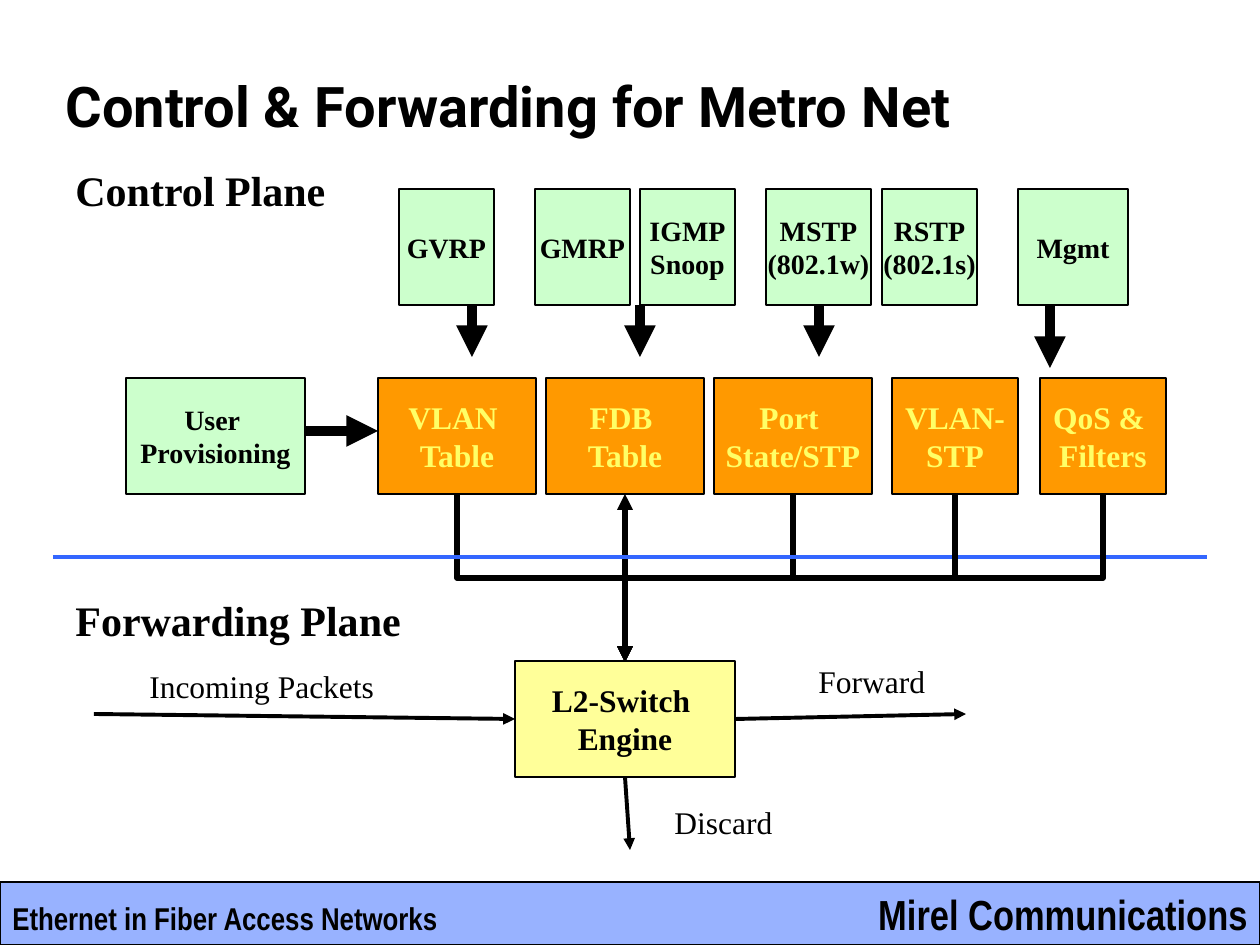
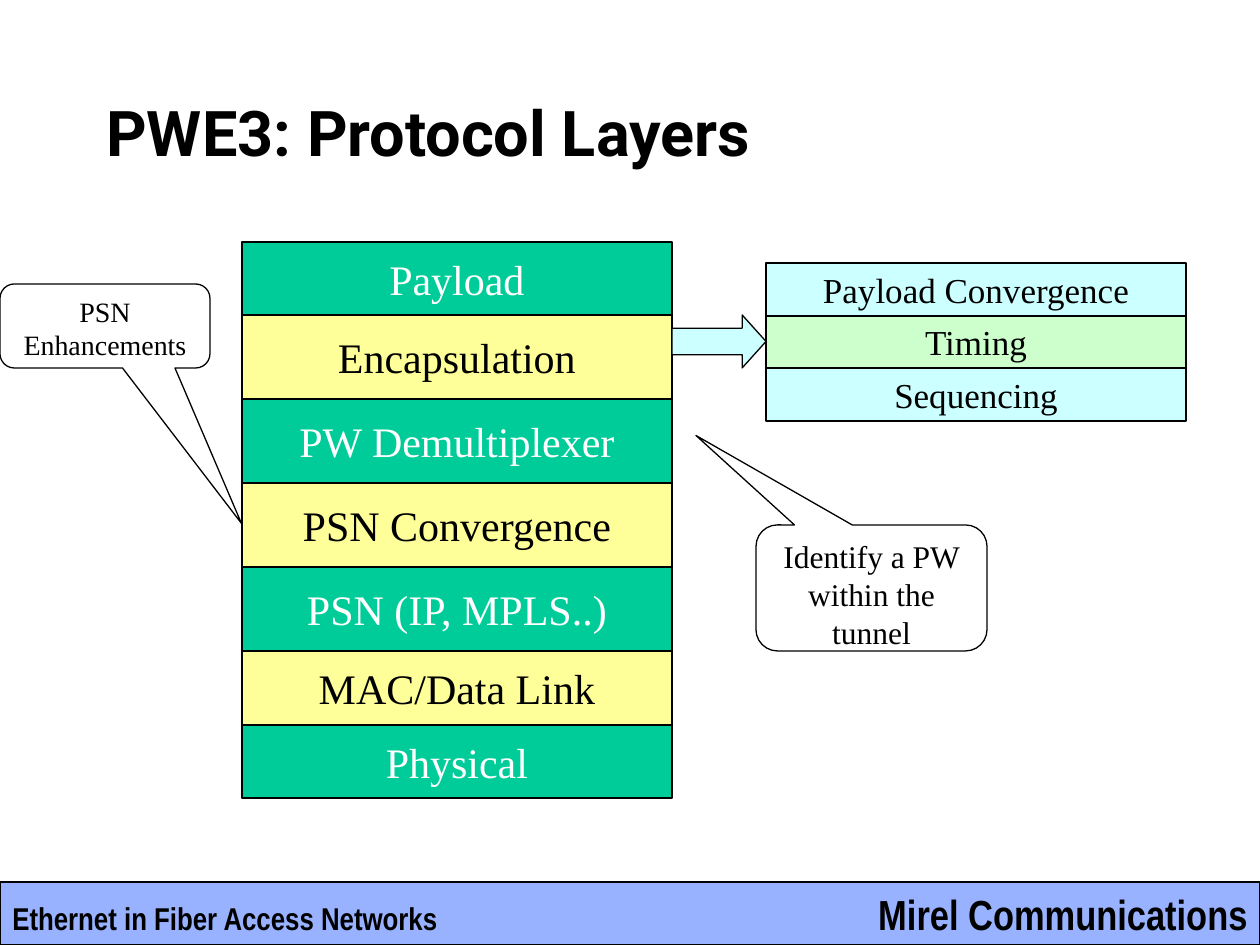
from itertools import accumulate, cycle
from lxml.etree import SubElement
from pptx import Presentation
from pptx.dml.color import RGBColor
from pptx.enum.shapes import MSO_CONNECTOR as LINK, MSO_SHAPE as SHAPE
from pptx.enum.text import MSO_ANCHOR as ANCHOR, PP_ALIGN as ALIGN
from pptx.oxml.ns import qn
from pptx.util import Emu, Pt

WIDE, HIGH = 1260, 945
HEX = {
    "black": "000000", "white": "FFFFFF", "blue": "3366FF",
    "mint": "CCFFCC", "orange": "FF9900", "lemon": "FFFF66",
    "cream": "FFFF99", "teal": "00CC99", "ice": "CCFFFF",
}
SERIF, SANS, NARROW = "Times New Roman", "Roboto", "Arial Narrow"


def px(n):
    return Emu(round(n * 914400 / 126))


def tint(name):
    return RGBColor.from_string(HEX[name])


def write(frame, text, size=18, font=SERIF, color="black", bold=False,
          align=ALIGN.LEFT, anchor=ANCHOR.TOP, wrap=False):
    frame.word_wrap = wrap
    frame.vertical_anchor = anchor
    for i, line in enumerate(text.split("\n")):
        para = frame.paragraphs[0] if i == 0 else frame.add_paragraph()
        para.alignment = align
        run = para.add_run()
        run.text = line
        run.font.name, run.font.size, run.font.bold = font, Pt(size), bold
        run.font.color.rgb = tint(color)


def label(slide, box, text, **style):
    frame = slide.shapes.add_textbox(*map(px, box)).text_frame
    write(frame, text, **style)


def block(slide, box, fill=None, text="", kind=SHAPE.RECTANGLE, adjust=(), **style):
    shape = slide.shapes.add_shape(kind, *map(px, box))
    shape.shadow.inherit = False
    for i, value in enumerate(adjust):
        shape.adjustments[i] = value
    if fill:
        shape.fill.solid()
        shape.fill.fore_color.rgb = tint(fill)
    else:
        shape.fill.background()
    shape.line.color.rgb = tint("black")
    shape.line.width = Pt(0.75)
    if text:
        write(shape.text_frame, text,
              **{"align": ALIGN.CENTER, "anchor": ANCHOR.MIDDLE, **style})
    return shape


def line(slide, start, end, width=2.25, color="black", heads=("tailEnd",),
         kind=LINK.STRAIGHT):
    link = slide.shapes.add_connector(kind, *map(px, (*start, *end)))
    link.line.width = Pt(width)
    link.line.color.rgb = tint(color)
    props = link._element.spPr
    for head in heads:
        SubElement(props.find(qn("a:ln")), qn(f"a:{head}"), type="triangle")
    SubElement(props, qn("a:effectLst"))
    return link


def elbow(slide, start, end):
    """Elbow that leaves downwards: a sideways one turned by a quarter."""
    (x1, y1), (x2, y2) = start, end
    mid_x, mid_y = (x1 + x2) / 2, (y1 + y2) / 2
    half_w, half_h = (y2 - y1) / 2, abs(x2 - x1) / 2
    turn = 90 if x1 > x2 else 270
    if turn == 270:
        half_w = -half_w
    link = line(slide, (mid_x - half_w, mid_y - half_h),
                (mid_x + half_w, mid_y + half_h), width=3, kind=LINK.ELBOW)
    link._element.spPr.find(qn("a:xfrm")).set("rot", str(turn * 60000))


def footer(slide, x, y, w, h):
    band = block(slide, (x, y, w, h), "blue")
    color = band._element.spPr.find(qn("a:solidFill"))[0]
    SubElement(color, qn("a:alpha"), val="50000")
    label(slide, (x + w - 412, y, 412, h), "Mirel Communications",
          size=24, font=NARROW, bold=True, align=ALIGN.RIGHT)
    label(slide, (x, y + 11, 480, 50), "Ethernet in Fiber Access Networks",
          font=NARROW, bold=True)


def base(deck, title, box, size):
    slide = deck.slides.add_slide(deck.slide_layouts[6])
    footer(slide, 0, 882, WIDE, 63)
    label(slide, box, title, size=size, font=SANS, bold=True,
          anchor=ANCHOR.MIDDLE, wrap=True)
    return slide


# Control and forwarding slide
PROTOCOLS = [("GVRP", 399, 95), ("GMRP", 535, 95), ("IGMP\nSnoop", 640, 95),
             ("MSTP\n(802.1w)", 766, 105), ("RSTP\n(802.1s)", 882, 95),
             ("Mgmt", 1018, 110)]
TABLES = [("VLAN \nTable", 378, 158), ("FDB \nTable", 546, 158),
          ("Port \nState/STP", 714, 158), ("VLAN-\nSTP", 892, 126),
          ("QoS & \nFilters", 1040, 126)]
FEEDS = [(472, 52), (640, 52), (819, 52), (1050, 63)]
BOX_H = 116


def control(slide, x, y):
    label(slide, (x + 63, y, 320, 63), "Control Plane", size=24, bold=True)
    top, low = y + 31, y + 220
    for text, left, w in PROTOCOLS:
        block(slide, (x + left, top, w, BOX_H), "mint", text, size=16, bold=True)
    for left, drop in FEEDS:
        start = top + BOX_H
        line(slide, (x + left, start), (x + left, start + drop), width=6)
    block(slide, (x + 126, low, 179, BOX_H), "mint", "User \nProvisioning",
          size=16, bold=True)
    line(slide, (x + 305, low + 53), (x + 378, low + 53), width=6)
    for text, left, w in TABLES:
        block(slide, (x + left, low, w, BOX_H), "orange", text,
              color="lemon", bold=True)


def joins(slide, x, y, h):
    vlan, fdb, port, stp, qos = [x + left + w / 2 for _, left, w in TABLES]
    goal = (fdb, y + h)
    for source in (vlan, port):
        elbow(slide, (source, y), goal)
    line(slide, (fdb, y), goal, width=3, heads=("headEnd", "tailEnd"))
    # Border between the two planes
    line(slide, (x + 53, y + 63), (x + 1207, y + 63), color="blue", heads=())
    for source in (stp, qos):
        elbow(slide, (source, y), goal)


def forward(slide, x, y):
    label(slide, (x + 63, y, 420, 63), "Forwarding Plane", size=24, bold=True)
    block(slide, (x + 515, y + 73, 220, BOX_H), "cream", "L2-Switch \nEngine", bold=True)
    flows = [((94, 126), (515, 131)), ((735, 131), (966, 126)),
             ((625, 189), (630, 262))]
    for (x1, y1), (x2, y2) in flows:
        line(slide, (x + x1, y + y1), (x + x2, y + y2))
    notes = [("Incoming Packets", 137, 73, 300), ("Forward", 806, 68, 180),
             ("Discard", 662, 209, 180)]
    for text, left, top, w in notes:
        label(slide, (x + left, y + top, w, 50), text)


# Protocol layers slide
LAYERS = [("Payload", 73), ("Encapsulation", 84), ("PW Demultiplexer", 84),
          ("PSN Convergence", 84), ("PSN (IP, MPLS..)", 84),
          ("MAC/Data Link", 74), ("Physical", 73)]
DETAILS = [("Payload Convergence", 53), ("Timing", 52), ("Sequencing", 53)]


def stack(slide, x, y, w, rows, looks, size):
    tops = accumulate((h for _, h in rows), initial=y)
    for (text, h), top, (fill, color) in zip(rows, tops, cycle(looks)):
        block(slide, (x, top, w, h), fill, text, size=size, color=color)


def callout(slide, box, text, adjust, size):
    block(slide, box, None, text, SHAPE.ROUNDED_RECTANGULAR_CALLOUT, adjust,
          size=size, anchor=ANCHOR.TOP, wrap=True)


def layers(slide, x, y):
    stack(slide, x, y, 430, LAYERS, [("teal", "white"), ("cream", "black")], 24)
    callout(slide, (x - 242, y + 42, 210, 84), "PSN Enhancements",
            (0.65, 2.35, 0.17), 16)
    callout(slide, (x + 514, y + 283, 231, 126), "Identify a PW within the tunnel",
            (-0.76, -1.21, 0.17), 18)
    stack(slide, x + 524, y + 21, 420, DETAILS,
          [("ice", "black"), ("mint", "black")], 20)
    block(slide, (x + 430, y + 73, 94, 53), "ice", kind=SHAPE.RIGHT_ARROW,
          adjust=(0.5, 0.45))


def main():
    deck = Presentation()
    deck.slide_width, deck.slide_height = px(WIDE), px(HIGH)
    metro = base(deck, "Control & Forwarding for Metro Net", (53, 63, 1071, 84), 32)
    control(metro, 0, 158)
    joins(metro, 0, 494, 168)
    forward(metro, 0, 588)
    pwe = base(deck, "PWE3: Protocol Layers", (94, 84, 1071, 95), 36)
    layers(pwe, 242, 242)
    deck.save("out.pptx")


if __name__ == "__main__":
    main()
